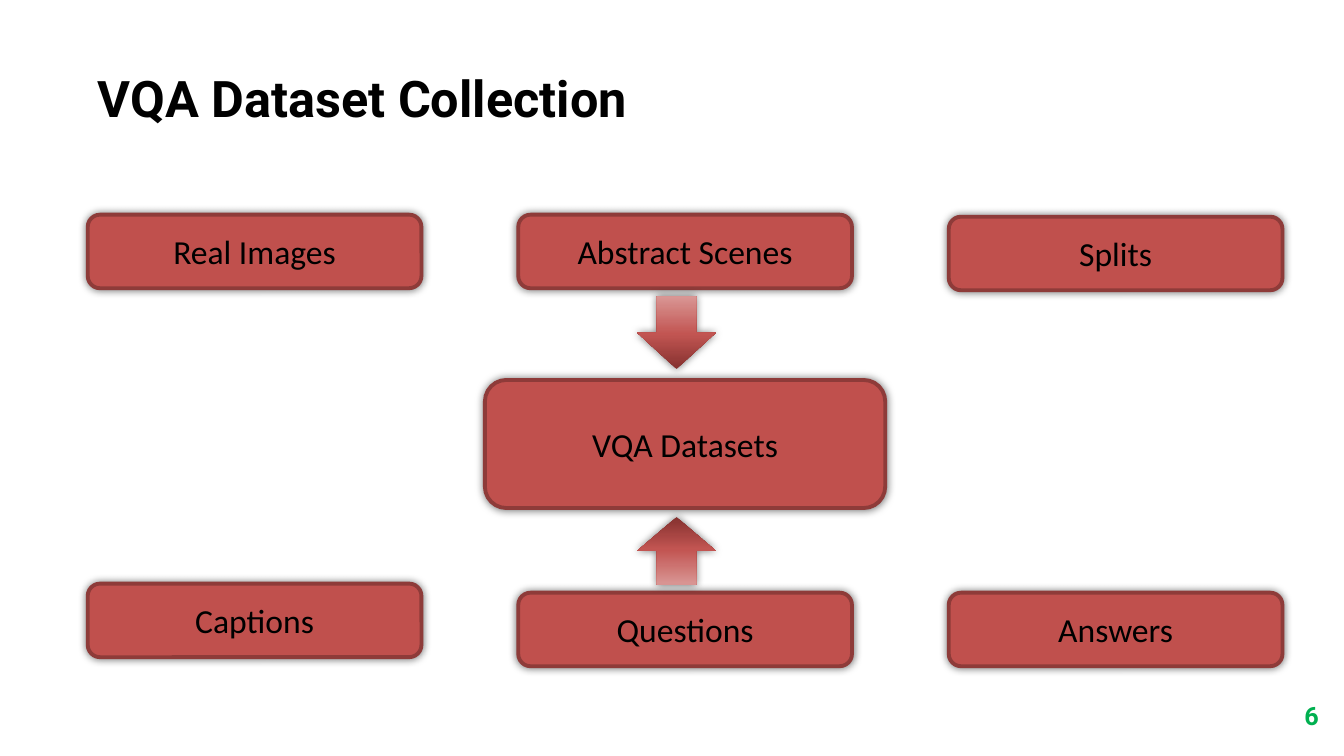
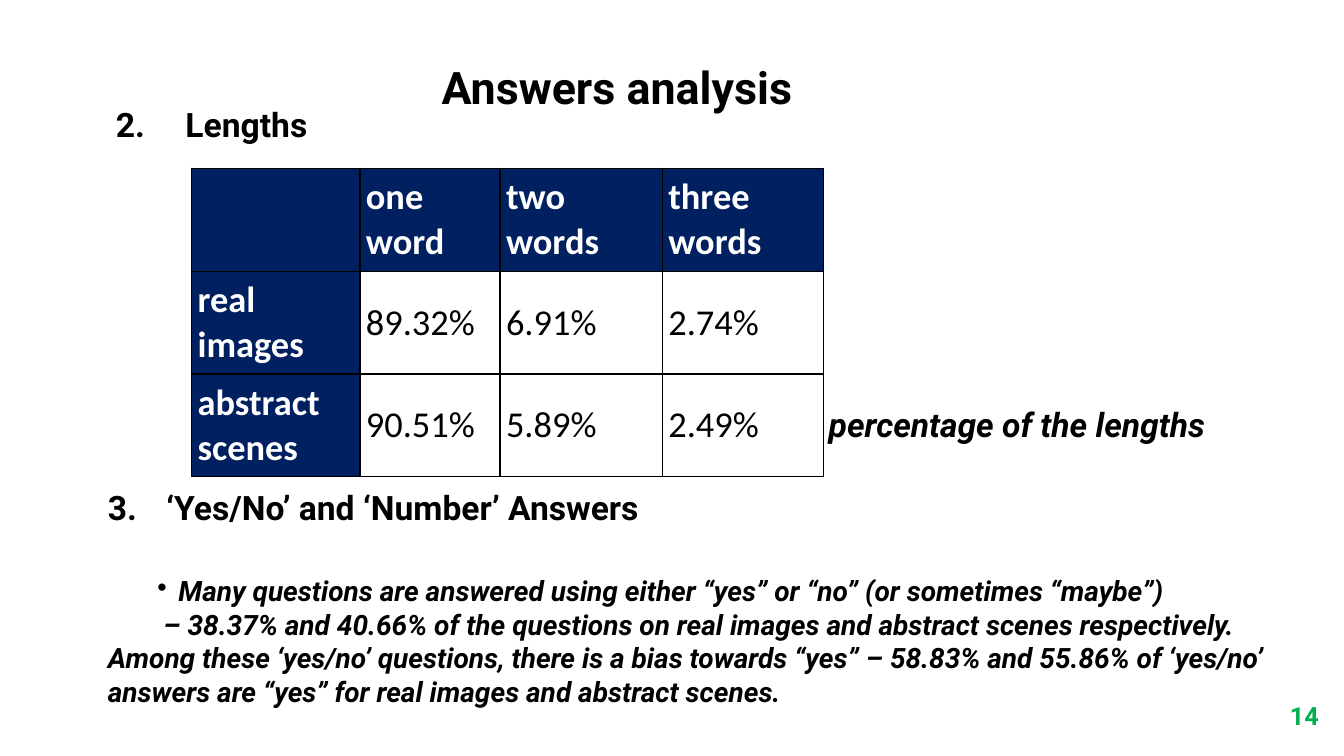
from lxml.etree import SubElement
from pptx import Presentation
from pptx.dml.color import RGBColor
from pptx.enum.shapes import MSO_SHAPE
from pptx.enum.text import MSO_ANCHOR, PP_ALIGN
from pptx.oxml.ns import qn
from pptx.util import Pt

PX = 9144
HEX = {"black": "000000", "white": "FFFFFF", "green": "00B050", "navy": "002060",
       "red": "C0504D", "edge": "8E3B39"}
FADE = ((0, "85312F"), (48, "C25552"), (100, "D99694"))

HEAD = {"name": "Roboto", "bold": True, "size": Pt(24), "color": "black"}
NOTE = HEAD | {"size": Pt(20), "italic": True}
PAGE = HEAD | {"size": Pt(18), "color": "green"}
LABEL = {"name": "Calibri", "size": Pt(24), "color": "black"}
DATA = LABEL | {"size": Pt(26), "bold": False}
KEY = DATA | {"bold": True, "color": "white"}

PARTS = (("Real Images", 0, 213), ("Abstract Scenes", 1, 213), ("Splits", 2, 215),
         ("Captions", 0, 579), ("Questions", 1, 588), ("Answers", 2, 588))
ARROWS = ((294, 72, 0), (513, 67, 180))
ROWS = (("", "one word", "two words", "three words"),
        ("real images", "89.32%", "6.91%", "2.74%"),
        ("abstract scenes", "90.51%", "5.89%", "2.49%"))
COLS = (167, 139, 161, 160)
BODY = (
    ("‘Yes/No’ and ‘Number’ Answers", HEAD, {"left": 58, "first": -58, "start": 3}),
    ("Many questions are answered using either “yes” or “no” (or sometimes “maybe”)",
     NOTE, {"left": 70, "first": -21, "mark": "•", "before": 33}),
    ("– 38.37% and 40.66% of the questions on real images and abstract scenes "
     "respectively. Among these ‘yes/no’ questions, there is a bias towards “yes” – "
     "58.83% and 55.86% of ‘yes/no’ answers are “yes” for real images and abstract scenes.",
     NOTE, {"left": 0, "first": 55}),
)


def px(*nums):
    return [num * PX for num in nums]


def rgb(name):
    return RGBColor.from_string(HEX[name])


def node(base, tag, **attrs):
    return SubElement(base, qn("a:" + tag), {key: str(val) for key, val in attrs.items()})


def tint(base, code):
    return node(base, "srgbClr", val=code)


def style(para, text, form):
    run = para.add_run()
    run.text = text
    for key, val in form.items():
        if key == "color":
            run.font.color.rgb = rgb(val)
        else:
            setattr(run.font, key, val)


def indent(para, left, first, start=None, mark=None, before=0):
    props = para._p.get_or_add_pPr()
    props.set("marL", str(left * PX))
    props.set("indent", str(first * PX))
    if start:
        node(props, "buAutoNum", type="arabicPeriod", startAt=start)
    elif mark:
        tint(node(props, "buClr"), HEX["black"])
        node(props, "buChar", char=mark)
    if before:
        para.space_before = Pt(before)


def pad(item, wide, tall):
    form = {"margin_left": wide, "margin_right": wide, "margin_top": tall, "margin_bottom": tall}
    for key, val in form.items():
        setattr(item, key, val * PX)


def write(slide, spot, paras, inset=(5, 5), align=PP_ALIGN.LEFT):
    frame = slide.shapes.add_textbox(*px(*spot)).text_frame
    frame.word_wrap = True
    frame.vertical_anchor = MSO_ANCHOR.MIDDLE
    pad(frame, *inset)
    for pos, (text, form, dent) in enumerate(paras):
        para = frame.add_paragraph() if pos else frame.paragraphs[0]
        para.alignment = align
        if dent:
            indent(para, **dent)
        style(para, text, form)


def start(deck, page):
    slide = deck.slides.add_slide(deck.slide_layouts[6])
    write(slide, (1266, 695, 42, 30), [(page, PAGE, None)], (0, 0), PP_ALIGN.RIGHT)
    return slide


def shade(shape):
    shape.shadow.inherit = False
    glow = node(shape._element.spPr.find(qn("a:effectLst")), "outerShdw",
                blurRad=Pt(6), dist=0, dir=225 * 60000, rotWithShape=0)
    node(tint(glow, HEX["black"]), "alpha", val=55000)


def box(slide, text, spot):
    shape = slide.shapes.add_shape(MSO_SHAPE.ROUNDED_RECTANGLE, *px(*spot))
    shape.fill.solid()
    shape.fill.fore_color.rgb = rgb("red")
    shape.line.color.rgb = rgb("edge")
    shape.line.width = Pt(2.75)
    shade(shape)
    shape.text_frame.vertical_anchor = MSO_ANCHOR.MIDDLE
    para = shape.text_frame.paragraphs[0]
    para.alignment = PP_ALIGN.CENTER
    style(para, text, LABEL)


def arrow(slide, top, tall, turn):
    shape = slide.shapes.add_shape(MSO_SHAPE.DOWN_ARROW, *px(632, top, 78, tall))
    shape.rotation = turn
    shape.line.fill.background()
    shape.fill.gradient()
    shape.fill.gradient_angle = 90
    stops = shape._element.spPr.find(qn("a:gradFill")).find(qn("a:gsLst"))
    for stop in list(stops):
        stops.remove(stop)
    for pos, code in FADE:
        tint(node(stops, "gs", pos=pos * 1000), code)
    shade(shape)


def frame_cell(cell):
    props = cell._tc.get_or_add_tcPr()
    for side in "LRTB":
        line = node(props, "ln" + side, w=Pt(1))
        tint(node(line, "solidFill"), HEX["black"])


def grid(slide):
    spot = px(190, 167, sum(COLS), 102 * len(ROWS))
    table = slide.shapes.add_table(len(ROWS), len(COLS), *spot).table
    table.first_row = table.horz_banding = False
    for col, wide in zip(table.columns, COLS):
        col.width = wide * PX
    for y, row in enumerate(ROWS):
        table.rows[y].height = 102 * PX
        for x, text in enumerate(row):
            cell = table.cell(y, x)
            edge = y == 0 or x == 0
            frame_cell(cell)
            cell.fill.solid()
            cell.fill.fore_color.rgb = rgb("navy" if edge else "white")
            cell.vertical_anchor = MSO_ANCHOR.MIDDLE
            pad(cell, 6, 6)
            if text:
                style(cell.text_frame.paragraphs[0], text, KEY if edge else DATA)


def main():
    deck = Presentation()
    deck.slide_width, deck.slide_height = px(1333, 750)

    slide = start(deck, "6")
    title = HEAD | {"size": Pt(36)}
    write(slide, (87, 61, 778, 71), [("VQA Dataset Collection", title, None)], (10, 5))
    box(slide, "VQA Datasets", (481, 377, 397, 127))
    for text, col, top in PARTS:
        box(slide, text, (87 + 427 * col, top, 331, 73))
    for item in ARROWS:
        arrow(slide, *item)

    slide = start(deck, "14")
    title = HEAD | {"size": Pt(32)}
    write(slide, (102, 478, 1215, 230), BODY)
    write(slide, (433, 54, 396, 63), [("Answers analysis", title, None)])
    dent = {"left": 69, "first": -69, "start": 2}
    write(slide, (109, 97, 216, 52), [("Lengths", HEAD, dent)], (6, 6))
    grid(slide)
    note = HEAD | {"italic": True}
    write(slide, (816, 395, 446, 52), [("percentage of the lengths", note, None)], (6, 6))

    deck.save("out.pptx")


if __name__ == "__main__":
    main()
